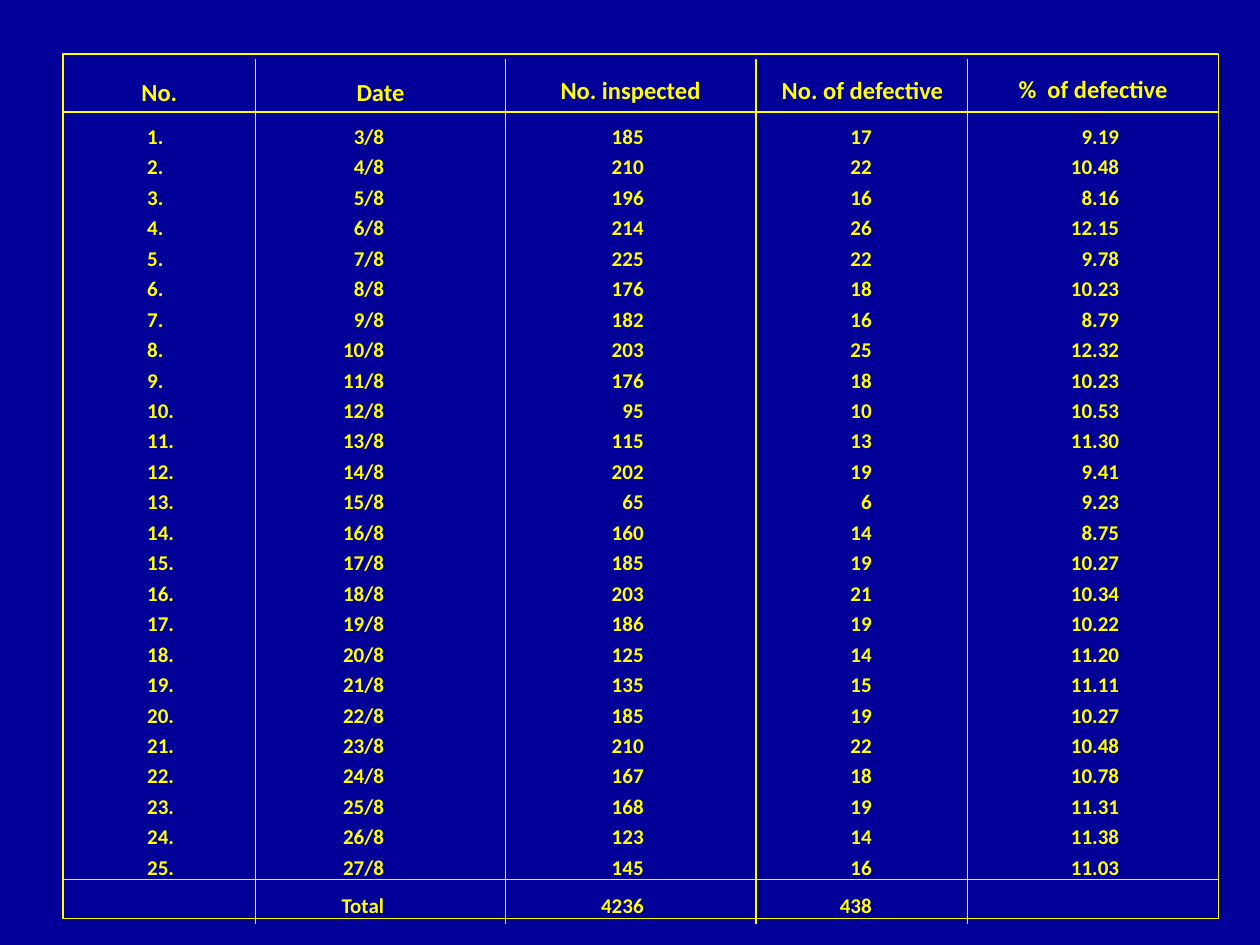
import pptx
import pptx.util
import pptx.dml.color
import pptx.enum.shapes
import pptx.enum.text
import lxml.etree

Inches, Pt = pptx.util.Inches, pptx.util.Pt
Align = pptx.enum.text.PP_ALIGN

NAVY, YELLOW = "000099", "FFFF00"
FONT = "Calibri"

heads = [
    ("No.", 0.5, 0.56, 1.53),
    ("Date", 2.18, 0.56, 1.68),
    ("No. inspected", 4.01, 0.55, 1.99),
    ("No. of defective", 5.85, 0.55, 1.99),
    ("%  of defective", 7.68, 0.54, 1.99),
]
counts = [
    (185, 17), (210, 22), (196, 16), (214, 26), (225, 22),
    (176, 18), (182, 16), (203, 25), (176, 18), (95, 10),
    (115, 13), (202, 19), (65, 6), (160, 14), (185, 19),
    (203, 21), (186, 19), (125, 14), (135, 15), (185, 19),
    (210, 22), (167, 18), (168, 19), (123, 14), (145, 16),
]
tabs = [(1.88, "r"), (3.94, "r"), (5.75, "r"), (7.5, "dec")]
left, top, wide, high = 0.5, 0.43, 9.17, 6.86
rules = [0.89, 6.98]
walls = [2.03, 4.01, 6, 7.68]
start, end = 0.47, 7.33


def color(code):
    return pptx.dml.color.RGBColor.from_string(code)


def add_box(slide, x, y, w, h):
    box = slide.shapes.add_textbox(Inches(x), Inches(y), Inches(w), Inches(h))
    frame = box.text_frame
    frame.word_wrap = True
    frame.auto_size = pptx.enum.text.MSO_AUTO_SIZE.SHAPE_TO_FIT_TEXT
    return frame


def add_text(para, text, size, align):
    para.alignment = align
    run = para.add_run()
    run.text = text
    font = run.font
    font.name, font.size, font.bold = FONT, Pt(size), True
    font.color.rgb = color(YELLOW)


def add_tabs(para):
    props = para._p.get_or_add_pPr()
    stops = lxml.etree.SubElement(props, pptx.oxml.ns.qn("a:tabLst"))
    for pos, kind in tabs:
        stop = lxml.etree.SubElement(stops, pptx.oxml.ns.qn("a:tab"))
        stop.set("pos", str(Inches(pos)))
        stop.set("algn", kind)


def add_line(slide, x1, y1, x2, y2):
    line = slide.shapes.add_connector(
        pptx.enum.shapes.MSO_CONNECTOR.STRAIGHT,
        Inches(x1), Inches(y1), Inches(x2), Inches(y2))
    line.line.color.rgb = color(YELLOW)
    line.line.width = Pt(0.75)
    lxml.etree.SubElement(line._element.spPr, pptx.oxml.ns.qn("a:effectLst"))


def add_rows(slide):
    rows = [f"{n}.\t{n + 2}/8\t{seen}\t{bad}\t{100 * bad / seen:.2f}"
            for n, (seen, bad) in enumerate(counts, 1)]
    seen, bad = map(sum, zip(*counts))
    rows.append(f"\tTotal\t{seen}\t{bad}")
    frame = add_box(slide, 1.07, 0.93, 8.68, 6.41)
    for i, row in enumerate(rows):
        para = frame.add_paragraph() if i else frame.paragraphs[0]
        add_tabs(para)
        para.space_after = Pt(7.5 if i == len(counts) - 1 else 3)
        add_text(para, row, 12, Align.JUSTIFY)


def add_grid(slide):
    frame = slide.shapes.add_shape(
        pptx.enum.shapes.MSO_SHAPE.RECTANGLE,
        Inches(left), Inches(top), Inches(wide), Inches(high))
    frame.shadow.inherit = False
    frame.fill.background()
    frame.line.color.rgb = color(YELLOW)
    frame.line.width = Pt(0.75)
    for y in rules:
        add_line(slide, left, y, left + wide, y)
    for x in walls:
        add_line(slide, x, start, x, end)


def main():
    deck = pptx.Presentation()
    deck.slide_width, deck.slide_height = Inches(10), Inches(7.5)
    slide = deck.slides.add_slide(deck.slide_layouts[6])
    fill = slide.background.fill
    fill.solid()
    fill.fore_color.rgb = color(NAVY)
    add_rows(slide)
    add_grid(slide)
    for text, x, y, w in heads:
        frame = add_box(slide, x, y, w, 0.34)
        add_text(frame.paragraphs[0], text, 14, Align.CENTER)
    deck.save("out.pptx")


if __name__ == "__main__":
    main()
